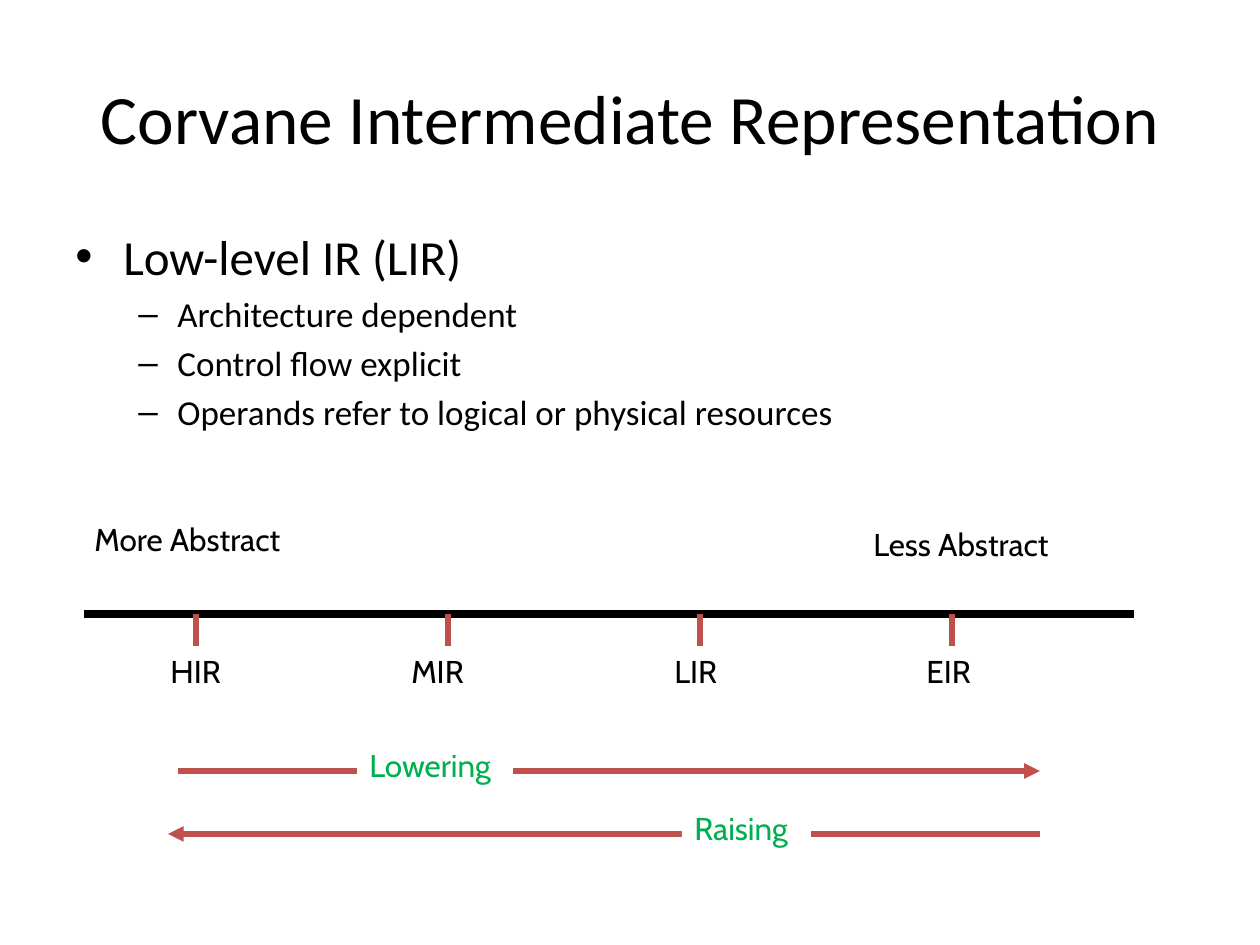
from lxml import etree
from pptx import Presentation
from pptx.dml.color import RGBColor
from pptx.enum.shapes import MSO_CONNECTOR, MSO_SHAPE
from pptx.enum.text import MSO_ANCHOR, PP_ALIGN
from pptx.oxml.ns import qn
from pptx.util import Pt

STRAIGHT = MSO_CONNECTOR.STRAIGHT
RECTANGLE = MSO_SHAPE.RECTANGLE
TOP, MIDDLE = MSO_ANCHOR.TOP, MSO_ANCHOR.MIDDLE
LEFT, CENTER = PP_ALIGN.LEFT, PP_ALIGN.CENTER
EMU_PER_PIXEL = 914400 // 126
BLACK, WHITE, RED, GREEN = "000000", "FFFFFF", "C0504D", "00B050"


def px(*lengths):
    """Turn picture pixels into EMU."""
    return [round(length * EMU_PER_PIXEL) for length in lengths]


def color(hex_string):
    """Turn a hex string into a colour."""
    return RGBColor.from_string(hex_string)


def add_text(text, place, size=18, font="Cabin", ink=BLACK, fill=None,
             align=LEFT, anchor=TOP):
    """Add a box of text, one paragraph a line, and return its frame."""
    if fill:
        box = page.shapes.add_shape(RECTANGLE, *px(*place))
        box.shadow.inherit = False
        box.fill.solid()
        box.fill.fore_color.rgb = color(fill)
        box.line.fill.background()
    else:
        box = page.shapes.add_textbox(*px(*place))
    frame = box.text_frame
    frame.word_wrap = True
    frame.vertical_anchor = anchor
    frame.text = text
    for para in frame.paragraphs:
        para.alignment = align
        para.font.size = Pt(size)
        para.font.name = font
        para.font.color.rgb = color(ink)
    return frame


def add_line(x1, y1, x2, y2, ink=RED, width=3, arrow=False):
    """Add a straight line, with an arrowhead at its end if asked."""
    line = page.shapes.add_connector(STRAIGHT, *px(x1, y1, x2, y2))
    line.line.color.rgb = color(ink)
    line.line.width = Pt(width)
    if arrow:
        etree.SubElement(line.line._get_or_add_ln(), qn("a:tailEnd"), type="triangle")
    etree.SubElement(line._element.spPr, qn("a:effectLst"))


deck = Presentation()
deck.slide_width, deck.slide_height = px(1260, 945)
page = deck.slides.add_slide(deck.slide_layouts[6])

# "Corvane" stands for the product name
add_text("Corvane Intermediate Representation", (63, 38, 1134, 157),
         size=39.6, font="Calibri", align=CENTER, anchor=MIDDLE)

# Bullets: level, size, mark, left margin, hanging indent
HEAD = (0, 28, "\u2022", 48, 48)
ITEM = (1, 20, "\u2013", 102, 39)
bullets = [
    ("Low-level IR (LIR)", HEAD),
    ("Architecture dependent", ITEM),
    ("Control flow explicit", ITEM),
    ("Operands refer to logical or physical resources", ITEM),
]
body = add_text("\n".join(text for text, style in bullets),
                (63, 220, 1134, 624), font="Calibri")
for para, (text, style) in zip(body.paragraphs, bullets):
    level, size, mark, margin, hang = style
    para.level = level
    para.font.size = Pt(size)
    para.space_before = Pt(size * 0.2)
    properties = para._p.get_or_add_pPr()
    margin_emu, hang_emu = px(margin, hang)
    properties.set("marL", str(margin_emu))
    properties.set("indent", str(-hang_emu))
    bullet_font = etree.Element(qn("a:buFont"), typeface="Arial")
    bullet = etree.Element(qn("a:buChar"), char=mark)
    properties.find(qn("a:defRPr")).addprevious(bullet_font)
    bullet_font.addnext(bullet)
    for span in para.runs:
        span.font.size = Pt(size)

# Abstraction scale
add_text("More Abstract", (82, 514, 224, 50))
add_text("Less Abstract", (861, 519, 209, 50))
AXIS_Y, TICK_X, TICK_GAP, TICK_HEIGHT = 614, 196, 252, 32
add_line(84, AXIS_Y, 1134, AXIS_Y, ink=BLACK, width=4.5)
levels = [("HIR", 158), ("MIR", 399), ("LIR", 662), ("EIR", 914)]
for index, (name, label_x) in enumerate(levels):
    tick_x = TICK_X + index * TICK_GAP
    add_line(tick_x, AXIS_Y, tick_x, AXIS_Y + TICK_HEIGHT)
    add_text(name, (label_x, AXIS_Y + TICK_HEIGHT, 100, 50))

# Directions: name, arrow start, arrow end, height, label left, label width
directions = [
    ("Lowering", 178, 1040, 771, 357, 156),
    ("Raising", 1040, 168, 834, 682, 129),
]
for name, start, end, y, label_x, label_width in directions:
    add_line(start, y, end, y, arrow=True)
    add_text(name, (label_x, y - 31, label_width, 50), ink=GREEN, fill=WHITE)

deck.save("out.pptx")
